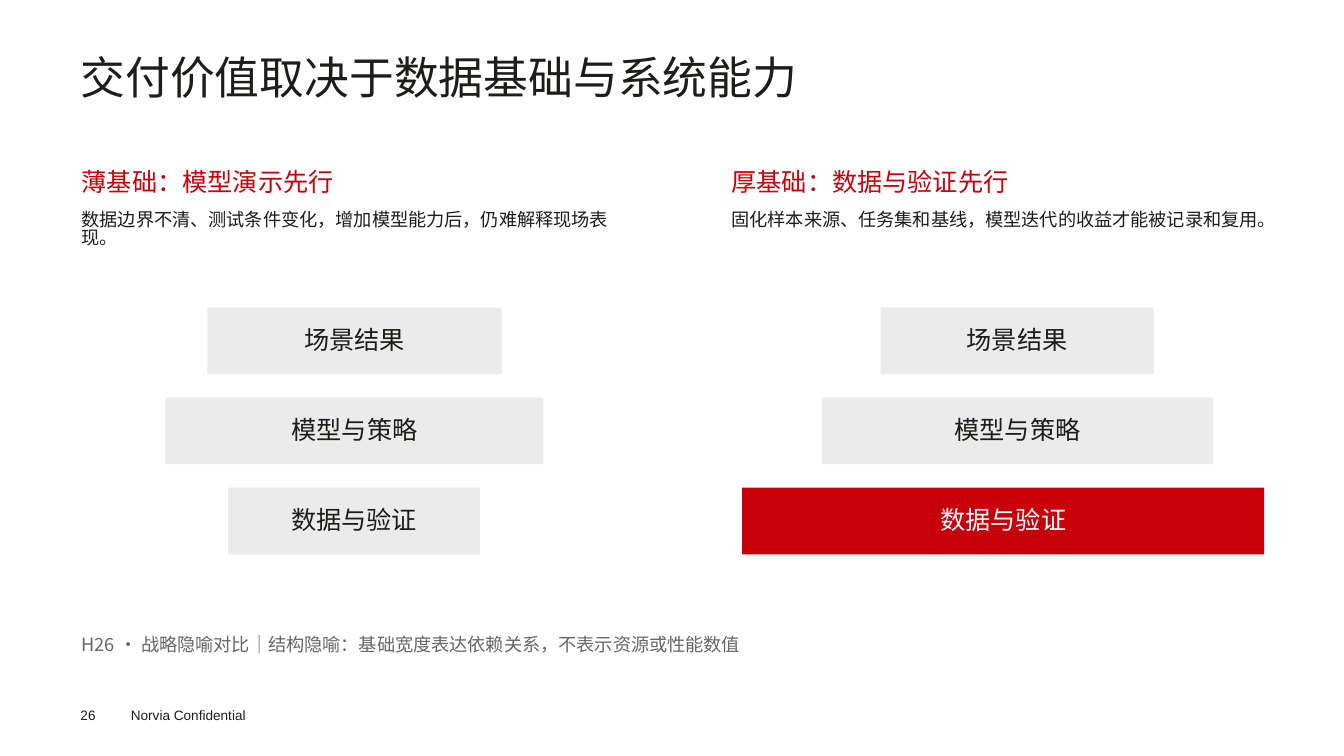
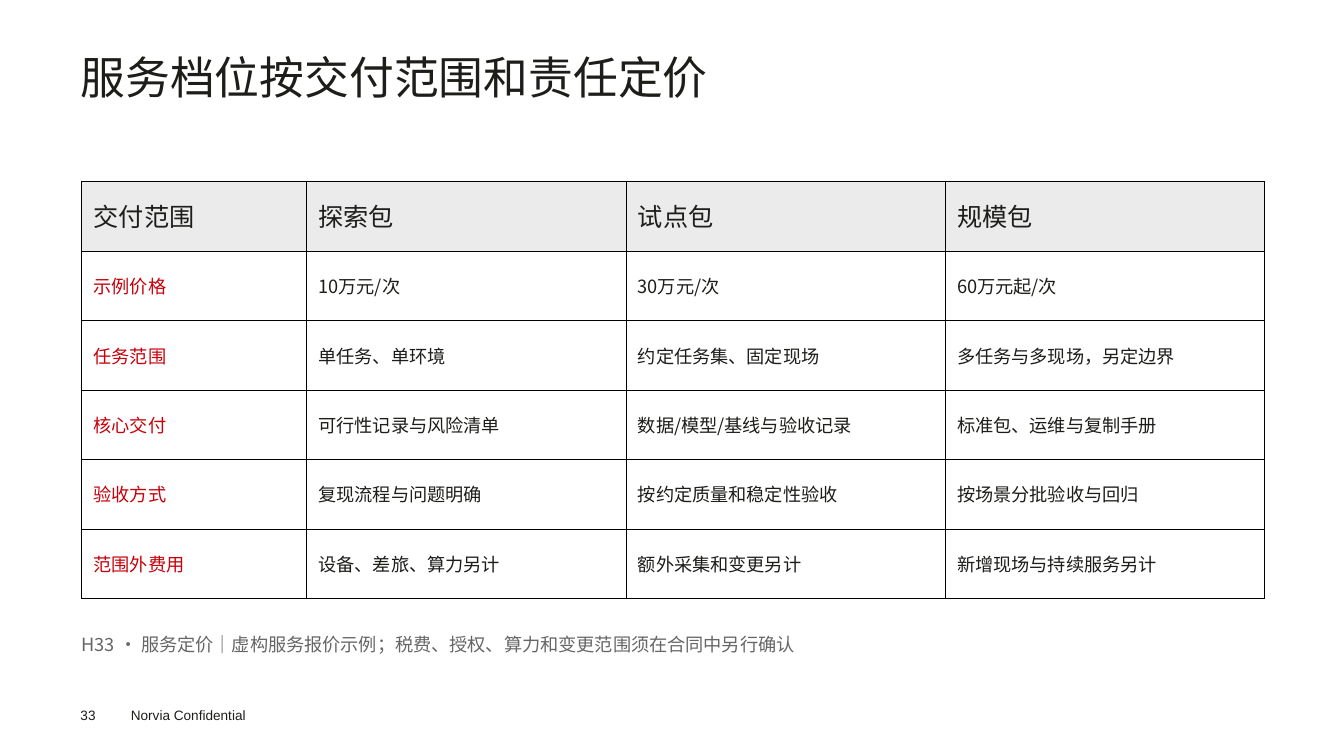
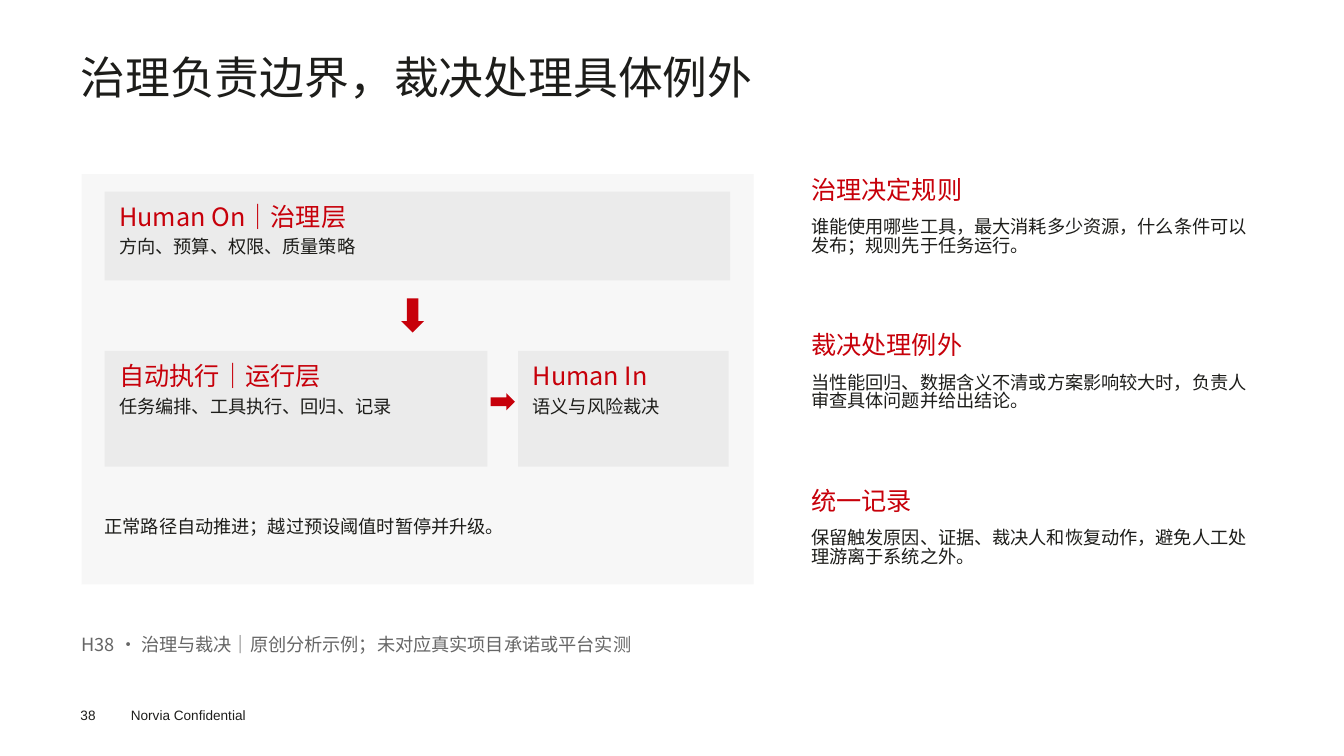
"""Build three slides on delivery foundations, service pricing and governance."""
from lxml.etree import SubElement
from pptx import Presentation
from pptx.dml.color import RGBColor
from pptx.enum.shapes import MSO_SHAPE as SHAPE
from pptx.enum.text import MSO_ANCHOR as ANCHOR, MSO_AUTO_SIZE as FIT, PP_ALIGN as ALIGN
from pptx.oxml.ns import qn
from pptx.util import Cm, Pt

rgb = RGBColor.from_string
INK, RED, GREY, TILE, PANEL, WHITE = "1D1D1A", "C7000A", "666666", "EBEBEB", "F7F7F7", "FFFFFF"
SANS = "Noto Sans CJK SC"
LEFT, CONTENT_W = 2.06, 29.82


def write(tf, *lines, font=SANS, align=ALIGN.LEFT, anchor=ANCHOR.TOP,
          margins=(0, 0.05, 0, 0), spacing=0.85, gap=0):
    left, top, right, bottom = map(Cm, margins)
    frame = {"word_wrap": True, "auto_size": FIT.NONE, "vertical_anchor": anchor,
             "margin_left": left, "margin_top": top,
             "margin_right": right, "margin_bottom": bottom}
    for name, value in frame.items():
        setattr(tf, name, value)
    for i, (text, size, color) in enumerate(lines):
        p = tf.add_paragraph() if i else tf.paragraphs[0]
        p.alignment, p.line_spacing = align, spacing
        if i:
            p.space_before = Pt(gap)
        r = p.add_run()
        r.text = text
        for name, value in {"name": font, "size": Pt(size), "bold": False}.items():
            setattr(r.font, name, value)
        r.font.color.rgb = rgb(color)
        SubElement(r._r.get_or_add_rPr(), qn("a:ea"), typeface=font)


def add(s, box, *lines, kind=None, fill=None, **fmt):
    box = map(Cm, box)
    if kind is None:
        sp = s.shapes.add_textbox(*box)
    else:
        sp = s.shapes.add_shape(kind, *box)
        sp.shadow.inherit = False
        sp.fill.solid()
        sp.fill.fore_color.rgb = rgb(fill)
        sp.line.fill.background()
    if lines:
        write(sp.text_frame, *lines, **fmt)


prs = Presentation()
prs.slide_width, prs.slide_height = Cm(33.88), Cm(19.05)
layout = prs.slide_layouts[5]
title_box = {"left": Cm(2.03), "top": Cm(1.27), "width": Cm(29.85), "height": Cm(2.77)}
for name, value in title_box.items():
    setattr(layout.placeholders[0], name, value)

pages = [
    (26, "交付价值取决于数据基础与系统能力",
     "战略隐喻对比｜结构隐喻：基础宽度表达依赖关系，不表示资源或性能数值"),
    (33, "服务档位按交付范围和责任定价",
     "服务定价｜虚构服务报价示例；税费、授权、算力和变更范围须在合同中另行确认"),
    (38, "治理负责边界，裁决处理具体例外",
     "治理与裁决｜原创分析示例；未对应真实项目承诺或平台实测"),
]
for number, title, note in pages:
    s = prs.slides.add_slide(layout)
    write(s.shapes.title.text_frame, (title, 32, INK), spacing=Pt(34.3), margins=(0, 0.12, 0, 0))
    add(s, (LEFT, 16, CONTENT_W, 1.14), (f"H{number} · {note}", 13, GREY))
    for x, w, text in [(2.03, 1.2, str(number)), (3.3, 4, "Norvia Confidential")]:
        add(s, (x, 17.82, w, 0.4), (text, 9.7, "1D1D1B"), font="Arial")
foundation, pricing, governance = prs.slides

layers = ["场景结果", "模型与策略", "数据与验证"]
sides = [
    (LEFT, "薄基础：模型演示先行",
     "数据边界不清、测试条件变化，增加模型能力后，仍难解释现场表现。",
     [(5.23, 7.42, TILE, INK), (4.17, 9.53, TILE, INK), (5.75, 6.35, TILE, INK)]),
    (18.44, "厚基础：数据与验证先行",
     "固化样本来源、任务集和基线，模型迭代的收益才能被记录和复用。",
     [(22.2, 6.88, TILE, INK), (20.72, 9.86, TILE, INK), (18.71, 13.16, RED, WHITE)]),
]
for x, head, body, blocks in sides:
    add(foundation, (x, 4.27, 13.36, 2.77), (head, 18, RED), (body, 13, INK), gap=10.3)
    for i, (left, width, fill, color) in enumerate(blocks):
        add(foundation, (left, 7.75 + 2.27 * i, width, 1.68), (layers[i], 18, color),
            kind=SHAPE.RECTANGLE, fill=fill, align=ALIGN.CENTER, anchor=ANCHOR.MIDDLE)

rows = [
    ["交付范围", "探索包", "试点包", "规模包"],
    ["示例价格", "10万元/次", "30万元/次", "60万元起/次"],
    ["任务范围", "单任务、单环境", "约定任务集、固定现场", "多任务与多现场，另定边界"],
    ["核心交付", "可行性记录与风险清单", "数据/模型/基线与验收记录", "标准包、运维与复制手册"],
    ["验收方式", "复现流程与问题明确", "按约定质量和稳定性验收", "按场景分批验收与回归"],
    ["范围外费用", "设备、差旅、算力另计", "额外采集和变更另计", "新增现场与持续服务另计"],
]
tbl = pricing.shapes.add_table(len(rows), 4, Cm(LEFT), Cm(4.58), Cm(CONTENT_W), Cm(10.5)).table
tbl.first_row = tbl.horz_banding = False
for col, width in zip(tbl.columns, [5.67, 8.05, 8.05, 8.05]):
    col.width = Cm(width)
for i, row in enumerate(rows):
    tbl.rows[i].height = Cm(1.75)
    for j, text in enumerate(row):
        cell = tbl.cell(i, j)
        tc_pr = cell._tc.get_or_add_tcPr()
        for side in ("lnL", "lnR", "lnT", "lnB"):
            ln = SubElement(tc_pr, qn(f"a:{side}"), w=str(Pt(0.75)))
            SubElement(SubElement(ln, qn("a:solidFill")), qn("a:srgbClr"), val="000000")
        cell.fill.solid()
        cell.fill.fore_color.rgb = rgb(WHITE if i else TILE)
        color = RED if i and j == 0 else INK
        write(cell.text_frame, (text, 13 if i else 18, color))
        cell_fmt = {"vertical_anchor": ANCHOR.MIDDLE, "margin_left": Cm(0.3), "margin_top": Cm(0.25),
                    "margin_right": Cm(0.3), "margin_bottom": Cm(0.2)}
        for name, value in cell_fmt.items():
            setattr(cell, name, value)

add(governance, (LEFT, 4.39, 16.94, 10.34), kind=SHAPE.RECTANGLE, fill=PANEL)
cards = [
    ((2.64, 4.83, 15.77, 2.24), "Human On｜治理层", "方向、预算、权限、质量策略"),
    ((2.64, 8.84, 9.65, 2.92), "自动执行｜运行层", "任务编排、工具执行、回归、记录"),
    ((13.06, 8.84, 5.31, 2.92), "Human In", "语义与风险裁决"),
]
for box, head, body in cards:
    add(governance, box, (head, 18, RED), (body, 13, INK), kind=SHAPE.RECTANGLE, fill=TILE,
        margins=(0.37, 0.35, 0.37, 0), gap=5.6)
add(governance, (10.11, 7.52, 0.58, 0.86), kind=SHAPE.DOWN_ARROW, fill=RED)
add(governance, (12.37, 9.91, 0.61, 0.43), kind=SHAPE.RIGHT_ARROW, fill=RED)
add(governance, (2.64, 13.03, 15.75, 1.27), ("正常路径自动推进；越过预设阈值时暂停并升级。", 13, INK))

rules = [
    ("治理决定规则", "谁能使用哪些工具，最大消耗多少资源，什么条件可以发布；规则先于任务运行。"),
    ("裁决处理例外", "当性能回归、数据含义不清或方案影响较大时，负责人审查具体问题并给出结论。"),
    ("统一记录", "保留触发原因、证据、裁决人和恢复动作，避免人工处理游离于系统之外。"),
]
for i, (head, body) in enumerate(rules):
    add(governance, (20.45, 4.45 + 3.92 * i, 11.07, 2.9), (head, 18, RED), (body, 13, INK), gap=10.3)

prs.save("out.pptx")
